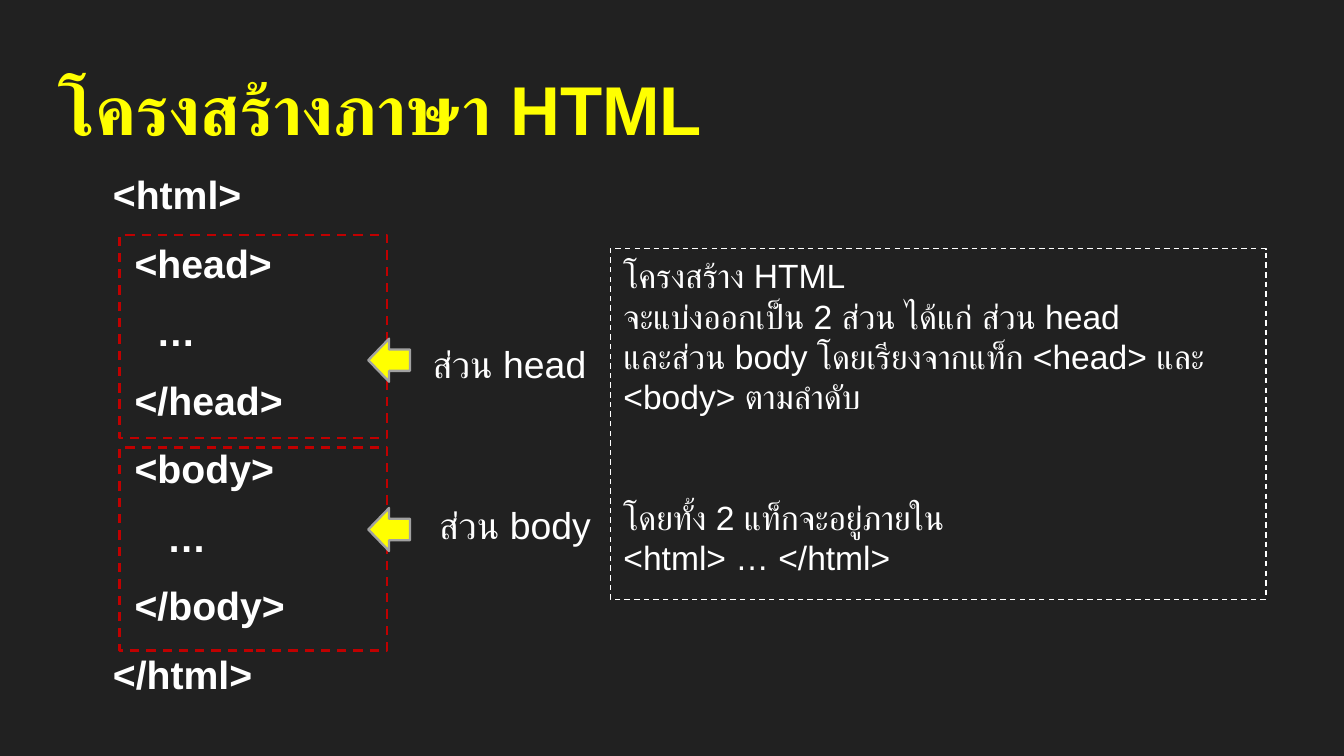
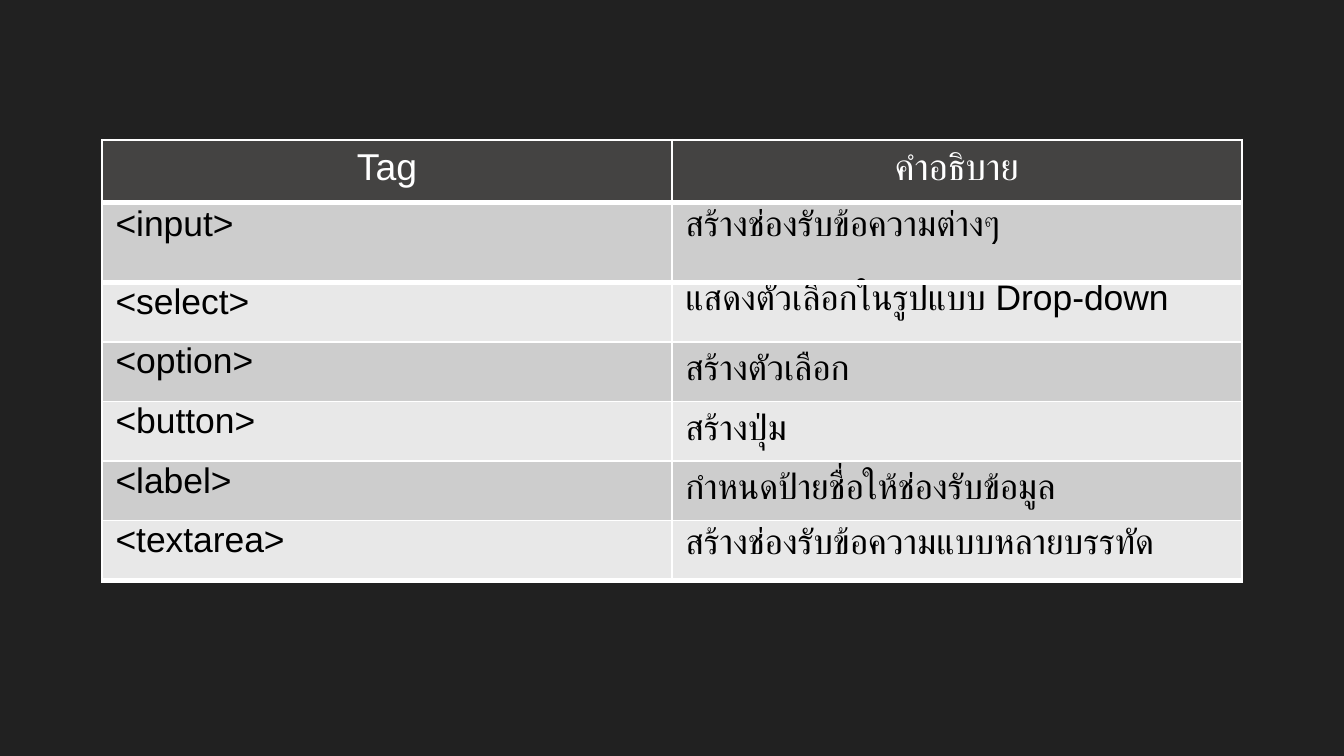
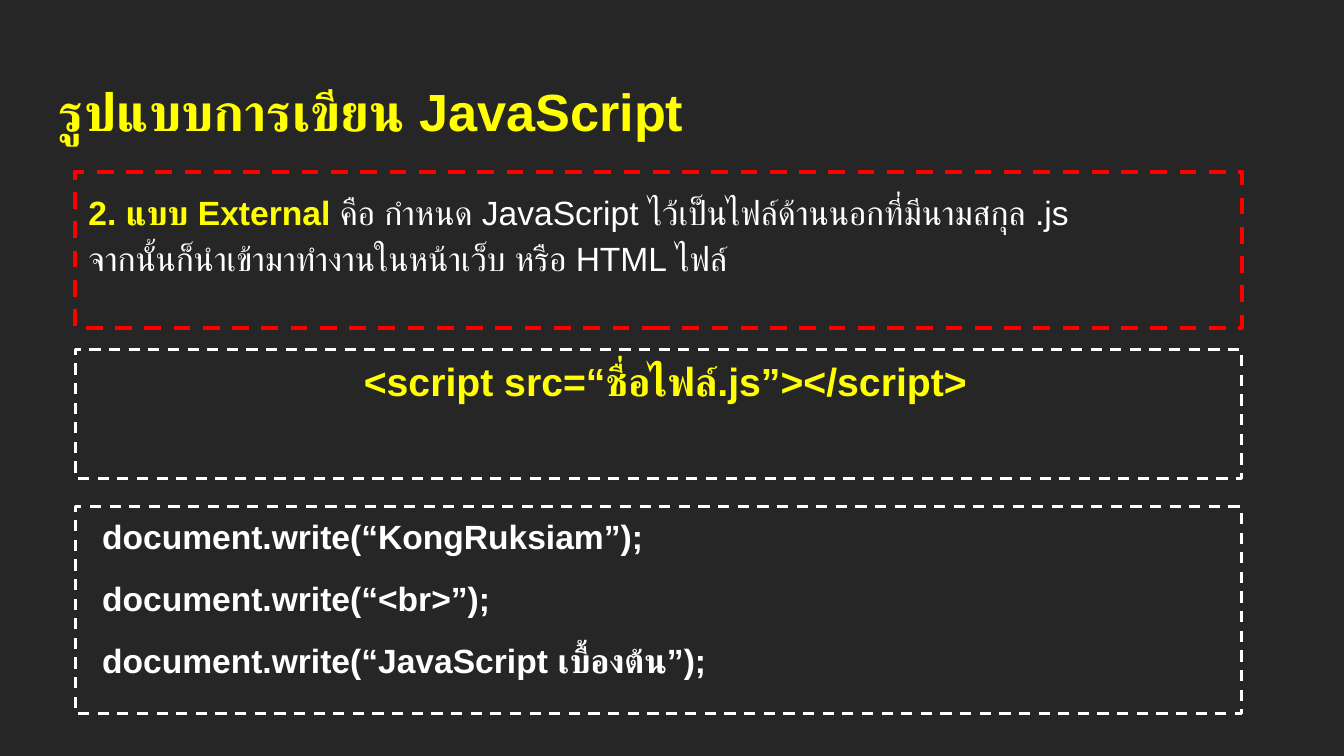
from lxml import etree
from pptx import Presentation
from pptx.dml.color import RGBColor
from pptx.enum.dml import MSO_LINE
from pptx.enum.shapes import MSO_SHAPE as SHAPE
from pptx.enum.text import MSO_ANCHOR as ANCHOR, PP_ALIGN as ALIGN
from pptx.oxml.ns import qn
from pptx.util import Inches, Pt

CHARCOAL = RGBColor(0x21, 0x21, 0x21)
GRAPHITE = RGBColor(0x26, 0x26, 0x26)
WHITE = RGBColor(0xFF, 0xFF, 0xFF)
BLACK = RGBColor(0, 0, 0)
YELLOW = RGBColor(0xFF, 0xFF, 0)
RED = RGBColor(0xFF, 0, 0)
DARK_RED = RGBColor(0xC0, 0, 0)
ARROW_EDGE = RGBColor(0xA1, 0xA1, 0xA1)
HEADER_FILL = RGBColor(0x44, 0x43, 0x42)
ROW_FILLS = (RGBColor(0xE8, 0xE8, 0xE8), RGBColor(0xCD, 0xCD, 0xCD))
FONT = "Arial"


# Text helpers
def add_run(paragraph, text, size, color, bold=False):
    run = paragraph.add_run()
    run.text = text
    font = run.font
    font.size, font.bold, font.name = Pt(size), bold, FONT
    font.color.rgb = color
    complex_script = etree.SubElement(run._r.get_or_add_rPr(), qn("a:cs"))
    complex_script.set("typeface", FONT)


def add_lines(paragraph, lines, *style):
    for i, line in enumerate(lines):
        if i:
            paragraph.add_line_break()
        add_run(paragraph, line, *style)


def prepare_frame(shape, side=0.1, vertical=0.05):
    frame = shape.text_frame
    frame.word_wrap = True
    frame.vertical_anchor = ANCHOR.TOP
    frame.margin_left = frame.margin_right = Inches(side)
    frame.margin_top = frame.margin_bottom = Inches(vertical)
    return frame


def next_paragraph(frame, index, spacing=1.0, before=0, align=ALIGN.LEFT):
    paragraph = frame.add_paragraph() if index else frame.paragraphs[0]
    paragraph.line_spacing = spacing
    paragraph.alignment = align
    if index:
        paragraph.space_before = Pt(before)
    return paragraph


def add_code(frame, lines, size):
    for i, line in enumerate(lines):
        add_run(next_paragraph(frame, i, 0.9, 14), line, size, WHITE, True)


# Shared parts
def new_slide(prs, background):
    slide = prs.slides.add_slide(prs.slide_layouts[6])
    slide.background.fill.solid()
    slide.background.fill.fore_color.rgb = background
    return slide


def add_text_box(slide, box, **margins):
    return prepare_frame(slide.shapes.add_textbox(*map(Inches, box)), **margins)


def add_title(slide, text, size, spacing=1.0):
    frame = add_text_box(slide, (0.34, 0.49, 9.32, 0.63), vertical=0.1)
    add_run(next_paragraph(frame, 0, spacing), text, size, YELLOW, True)


def add_outlined(slide, kind, box, color, width):
    shape = slide.shapes.add_shape(kind, *map(Inches, box))
    shape.shadow.inherit = False
    shape.fill.background()
    shape.line.color.rgb = color
    shape.line.width = Pt(width)
    return shape


def add_dashed_box(slide, box, color, width):
    shape = add_outlined(slide, SHAPE.RECTANGLE, box, color, width)
    shape.line.dash_style = MSO_LINE.DASH
    return shape


# Slide 1: structure of an HTML page
def add_section(slide, left, top, label, label_box, arrow_offset):
    add_dashed_box(slide, (left, top, 1.99, 1.51), DARK_RED, 1.25)
    label_left, label_top, label_width = label_box
    frame = add_text_box(slide, (left + label_left, top + label_top, label_width, 0.64))
    add_run(next_paragraph(frame, 0), label, 20, WHITE)
    arrow = add_outlined(slide, SHAPE.LEFT_ARROW,
                         (left + 1.85, top + arrow_offset, 0.31, 0.32), ARROW_EDGE, 1.25)
    arrow.fill.solid()
    arrow.fill.fore_color.rgb = YELLOW


def add_explanation(slide, box):
    frame = prepare_frame(add_dashed_box(slide, box, WHITE, 0.75))
    paragraphs = (
        (0, ["โครงสร้าง HTML"]),
        (0, ["จะแบ่งออกเป็น 2 ส่วน ได้แก่ ส่วน head ",
             "และส่วน body โดยเรียงจากแท็ก <head> และ <body> ตามลำดับ"]),
        (43, ["โดยทั้ง 2 แท็กจะอยู่ภายใน"]),
        (0, ["<html> … </html>"]),
    )
    for i, (before, lines) in enumerate(paragraphs):
        add_lines(next_paragraph(frame, i, before=before), lines, 18, WHITE)


def build_structure(prs):
    slide = new_slide(prs, CHARCOAL)
    add_title(slide, "โครงสร้างภาษา HTML", 37, 0.85)
    skeleton = add_text_box(slide, (0.84, 1.26, 2.88, 3.8), side=0)
    add_code(skeleton, ("<html>", "  <head>", "    …", "  </head>", "  <body>",
                        "     …", "  </body>", "</html>"), 21)
    add_section(slide, 0.89, 1.75, "ส่วน head", (2.23, 0.74, 1.49), 0.77)
    add_section(slide, 0.89, 3.33, "ส่วน body", (2.28, 0.36, 1.5), 0.45)
    add_explanation(slide, (4.54, 1.85, 4.88, 2.61))


# Slide 2: table of form tags
TAG_ROWS = (  # tag, description, line spacing of each
    ("Tag", "คำอธิบาย", 1, 1),
    ("<input>", "สร้างช่องรับข้อความต่างๆ", 0.85, 0.85),
    ("<select>", "แสดงตัวเลือกในรูปแบบ Drop-down", 0.8, 0.7),
    ("<option>", "สร้างตัวเลือก", 0.8, 1),
    ("<button>", "สร้างปุ่ม", 0.8, 1),
    ("<label>", "กำหนดป้ายชื่อให้ช่องรับข้อมูล", 0.8, 1),
    ("<textarea>", "สร้างช่องรับข้อความแบบหลายบรรทัด", 0.8, 0.85),
)
TABLE_HEIGHT = 3.28
TOP_ROWS = (0.47, 0.59)
ROW_HEIGHTS = TOP_ROWS + ((TABLE_HEIGHT - sum(TOP_ROWS)) / 5,) * 5
RULES = (1, 3, 3, 1, 1, 1, 1, 3)  # widths of the horizontal rules, top to bottom


def set_borders(cell, **widths):
    properties = cell._tc.get_or_add_tcPr()
    for i, (side, width) in enumerate(widths.items()):
        line = etree.Element(qn("a:ln" + side), w=str(Pt(width)))
        fill = etree.SubElement(line, qn("a:solidFill"))
        etree.SubElement(fill, qn("a:srgbClr"), val=str(WHITE))
        properties.insert(i, line)


def build_tag_table(prs):
    slide = new_slide(prs, CHARCOAL)
    table = slide.shapes.add_table(len(TAG_ROWS), 2, Inches(0.76), Inches(1.04),
                                   Inches(8.48), Inches(TABLE_HEIGHT)).table
    for column in table.columns:
        column.width = Inches(4.24)
    for r, (tag, description, *spacings) in enumerate(TAG_ROWS):
        table.rows[r].height = Inches(ROW_HEIGHTS[r])
        header = r == 0
        for c, text in enumerate((tag, description)):
            cell = table.cell(r, c)
            cell.fill.solid()
            cell.fill.fore_color.rgb = HEADER_FILL if header else ROW_FILLS[r % 2]
            set_borders(cell, L=1, R=1, T=RULES[r], B=RULES[r + 1])
            paragraph = next_paragraph(cell.text_frame, 0, spacings[c],
                                       align=ALIGN.CENTER if header else ALIGN.LEFT)
            add_run(paragraph, text, 20 if header else 19, WHITE if header else BLACK)


# Slide 3: external JavaScript
def add_panel(slide, top, height, color=WHITE, width=1.5):
    panel = add_dashed_box(slide, (0.56, top, 8.68, height), color, width)
    return prepare_frame(panel, vertical=0.1)


def build_external_script(prs):
    slide = new_slide(prs, GRAPHITE)
    add_title(slide, "รูปแบบการเขียน JavaScript", 28)

    definition = next_paragraph(add_panel(slide, 1.28, 1.16, RED, 2.25), 0, 1.15)
    add_run(definition, "2. แบบ External ", 18, YELLOW, True)
    add_lines(definition, ("คือ กำหนด JavaScript ไว้เป็นไฟล์ด้านนอกที่มีนามสกุล .js ",
                           "จากนั้นก็นำเข้ามาทำงานในหน้าเว็บ หรือ HTML ไฟล์"), 18, WHITE)

    script_tag = add_panel(slide, 2.6, 0.96)
    script_tag.margin_left = Inches(0.2)
    add_run(next_paragraph(script_tag, 0, 0.9, align=ALIGN.CENTER),
            "<script src=“ชื่อไฟล์.js”></script>", 21, YELLOW, True)

    script_body = add_panel(slide, 3.77, 1.54)
    script_body.margin_left = Inches(0.2)
    add_code(script_body, ("document.write(“KongRuksiam”);", "document.write(“<br>”);",
                           "document.write(“JavaScript เบื้องต้น”);"), 18)


def main():
    prs = Presentation()
    prs.slide_width = Inches(10)
    prs.slide_height = prs.slide_width * 9 // 16
    build_structure(prs)
    build_tag_table(prs)
    build_external_script(prs)
    prs.save("out.pptx")


if __name__ == "__main__":
    main()
